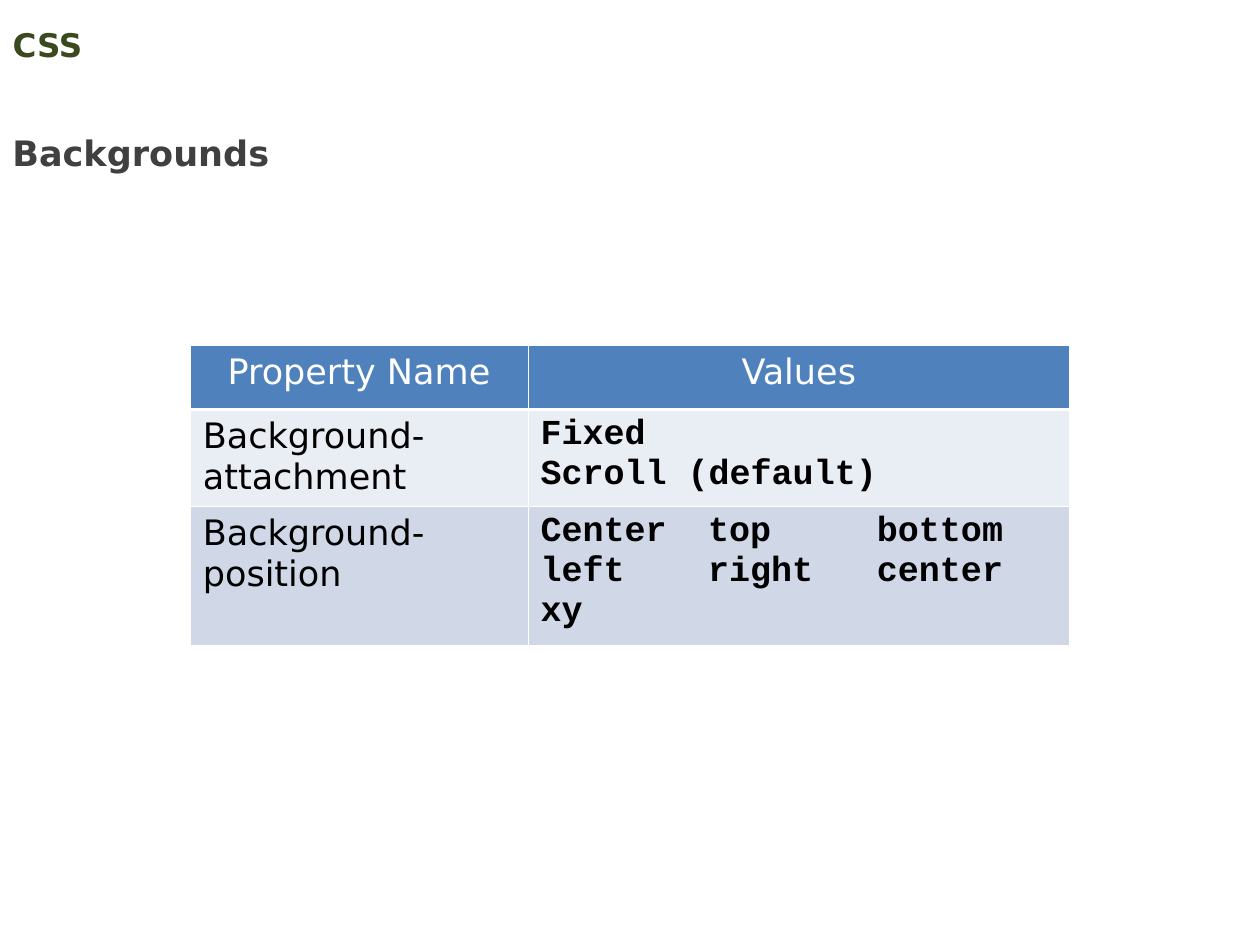
from lxml.etree import SubElement
from pptx import Presentation
from pptx.dml.color import RGBColor
from pptx.enum.text import MSO_ANCHOR, PP_ALIGN
from pptx.oxml.ns import qn
from pptx.util import Inches, Pt

COLORS = {
    "title": "3B4A1E", "subtitle": "404040", "header": "4F81BD",
    "light": "E9EDF4", "dark": "D0D8E8", "white": "FFFFFF", "black": "000000",
}
SANS, MONO = "DejaVu Sans", "Courier New"
TAB_STOPS = (1.33, 2.67)
THIN, THICK = 0.45, 1.47

HEADER = ("Property Name", "Values")
PROPERTIES = [
    ("Background-attachment", "Fixed\nScroll (default)"),
    ("Background-position", "Center\ttop\tbottom\nleft\tright\tcenter\nxy"),
]


def style(p, size, color, font=SANS, bold=False):
    for r in p.runs:
        r.font.size, r.font.name, r.font.bold = Pt(size), font, bold
        r.font.color.rgb = RGBColor.from_string(COLORS[color])


def place(sp, box):
    sp.left, sp.top, sp.width, sp.height = (Inches(v) for v in box)


def add_tab_stops(p):
    tabs = SubElement(p._p.get_or_add_pPr(), qn("a:tabLst"))
    for pos in TAB_STOPS:
        SubElement(tabs, qn("a:tab"), pos=str(Inches(pos)), algn="l")


def add_borders(cell, top, bottom):
    tcPr = cell._tc.get_or_add_tcPr()
    for side, width in (("L", THIN), ("R", THIN), ("T", top), ("B", bottom)):
        ln = SubElement(tcPr, qn(f"a:ln{side}"), w=str(Pt(width)))
        fill = SubElement(ln, qn("a:solidFill"))
        SubElement(fill, qn("a:srgbClr"), val=COLORS["white"])


def add_title(slide, box):
    sp = slide.shapes.title
    place(sp, box)
    tf = sp.text_frame
    tf.text = "CSS"
    tf.vertical_anchor = MSO_ANCHOR.MIDDLE
    tf.paragraphs[0].alignment = PP_ALIGN.LEFT
    style(tf.paragraphs[0], 18.6, "title", bold=True)


def add_subtitle(slide, box):
    tf = slide.shapes.add_textbox(*(Inches(v) for v in box)).text_frame
    tf.word_wrap = True
    tf.text = "Backgrounds"
    tf.paragraphs[0].line_spacing = 1.5
    style(tf.paragraphs[0], 20, "subtitle", bold=True)


def add_property_table(slide, box, col_widths, row_heights):
    rows = [HEADER] + PROPERTIES
    frame = slide.shapes.add_table(len(rows), len(HEADER),
                                   *(Inches(v) for v in box))
    table = frame.table
    for col, width in zip(table.columns, col_widths):
        col.width = Inches(width)
    for row, height in zip(table.rows, row_heights):
        row.height = Inches(height)

    fills = ("header", "light", "dark")
    for i, texts in enumerate(rows):
        for j, text in enumerate(texts):
            cell = table.cell(i, j)
            # The rule under the header is thicker than the others
            add_borders(cell, THICK if i == 1 else THIN, THICK if i == 0 else THIN)
            cell.fill.solid()
            cell.fill.fore_color.rgb = RGBColor.from_string(COLORS[fills[i]])
            cell.text_frame.text = text
            for p in cell.text_frame.paragraphs:
                if i == 0:
                    p.alignment = PP_ALIGN.CENTER
                    style(p, 20, "white")
                elif j == 0:
                    style(p, 20, "black")
                else:
                    add_tab_stops(p)
                    style(p, 20, "black", MONO, True)


def main():
    prs = Presentation()
    prs.slide_width, prs.slide_height = Inches(10), Inches(7.5)
    slide = prs.slides.add_slide(prs.slide_layouts[5])

    # Headings
    add_title(slide, (0, 0.14, 9, 0.43))
    add_subtitle(slide, (0, 0.83, 3.85, 0.6))

    # Properties and their values
    add_property_table(slide, (1.51, 2.74, 6.98, 2.38),
                       (2.68, 4.3), (0.51, 0.77, 1.1))
    prs.save("out.pptx")


if __name__ == "__main__":
    main()
